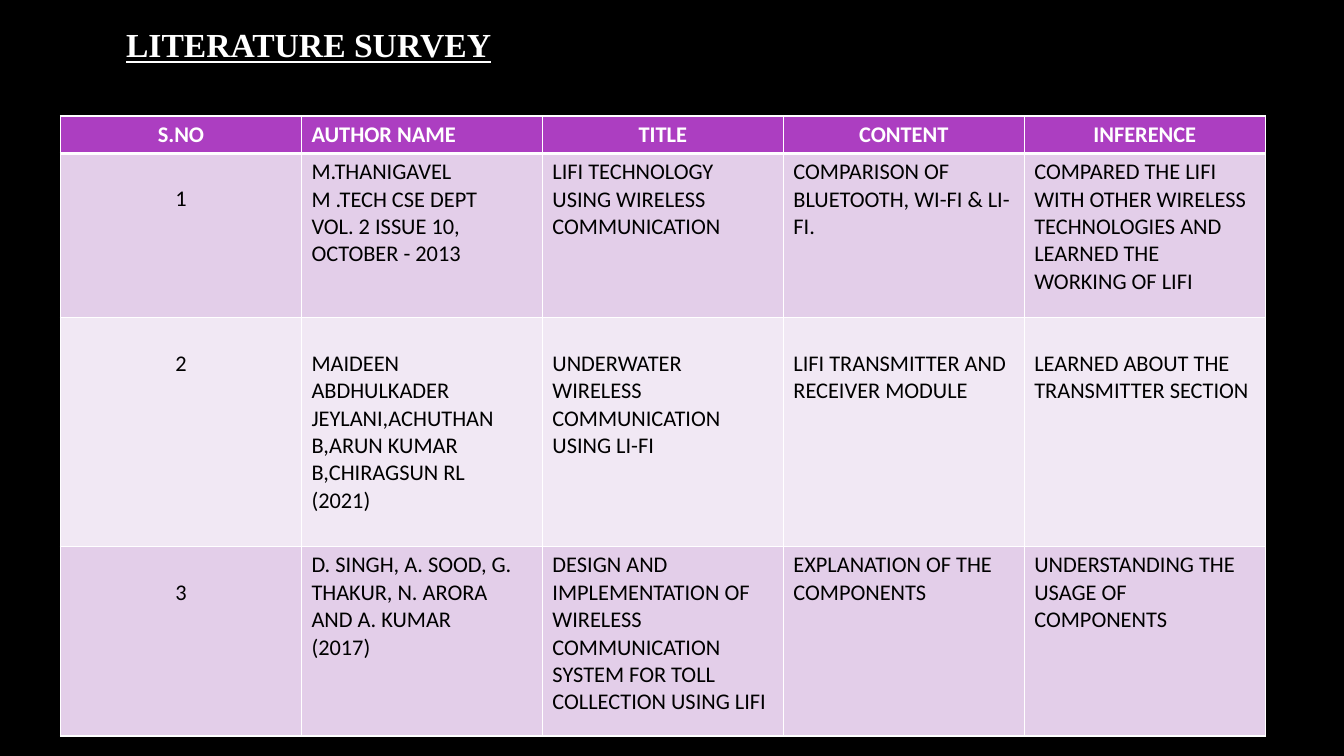
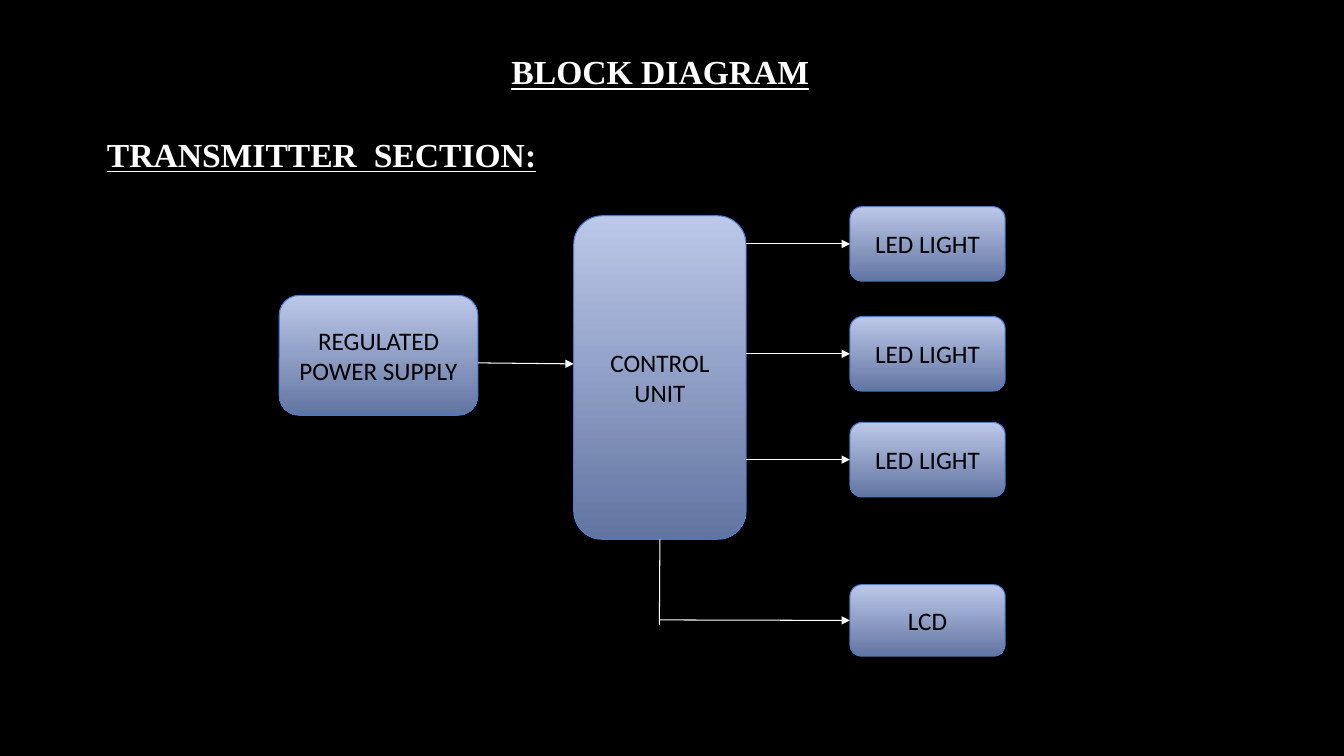
from dataclasses import dataclass
from typing import Optional

from lxml import etree
from pptx import Presentation
from pptx.dml.color import RGBColor
from pptx.enum.shapes import MSO_CONNECTOR as Connector, MSO_SHAPE as Shape
from pptx.enum.text import MSO_ANCHOR as Anchor, MSO_AUTO_SIZE as AutoSize, PP_ALIGN as Align
from pptx.oxml import parse_xml
from pptx.oxml.ns import nsdecls, qn
from pptx.util import Inches, Pt

BLACK, WHITE = "000000", "FFFFFF"
HEADER, BAND_DARK, BAND_LIGHT = "AC3EC1", "E3CEE9", "F1E8F4"
BLOCK_TOP, BLOCK_BOTTOM, BLOCK_EDGE = "BCC8E9", "6275A1", "477BD1"
HEADING_FONT, BODY_FONT = "Times New Roman", "Calibri"
TITLE_ONLY = 5
LEFT_SITE, BOTTOM_SITE = 1, 2
CELL_MARGIN, LINE_HEIGHT = 0.05, 0.27

HEADINGS = ["S.NO", "AUTHOR NAME", "TITLE", "CONTENT", "INFERENCE"]
PAPERS = [
    ["1", "M.THANIGAVEL  M .TECH CSE DEPT\nVOL. 2 ISSUE 10, OCTOBER - 2013",
     "LIFI TECHNOLOGY USING WIRELESS COMMUNICATION",
     "COMPARISON OF BLUETOOTH, WI-FI & LI-FI.",
     "COMPARED THE LIFI WITH OTHER WIRELESS TECHNOLOGIES AND LEARNED THE WORKING OF LIFI"],
    ["2", "MAIDEEN ABDHULKADER JEYLANI,ACHUTHAN B,ARUN KUMAR B,CHIRAGSUN RL\n(2021)",
     "UNDERWATER WIRELESS COMMUNICATION USING LI-FI",
     "LIFI TRANSMITTER AND RECEIVER MODULE",
     "LEARNED ABOUT THE TRANSMITTER SECTION"],
    ["3", "D. SINGH, A. SOOD, G. THAKUR, N. ARORA AND A. KUMAR\n(2017)",
     "DESIGN AND IMPLEMENTATION OF WIRELESS COMMUNICATION SYSTEM FOR TOLL COLLECTION USING LIFI",
     "EXPLANATION OF THE COMPONENTS",
     "UNDERSTANDING THE USAGE OF COMPONENTS"],
]
ROW_HEIGHTS = [0.37, 1.63, 2.27, 1.88]
COLUMN_WIDTH = 2.39
LOWERED_ROW = 2


@dataclass(frozen=True)
class Area:
    """A rectangle on the page, in inches."""
    left: float
    top: float
    width: float
    height: float

    def lengths(self) -> list:
        """Return the four measures as lengths."""
        return [Inches(n) for n in (self.left, self.top, self.width, self.height)]


@dataclass(frozen=True)
class Block:
    """A labelled box of the block diagram."""
    label: str
    area: Area


@dataclass(frozen=True)
class Link:
    """A line between two points, in inches."""
    start: tuple[float, float]
    end: tuple[float, float]
    arrow: bool = True


SUPPLY = Block("REGULATED POWER SUPPLY", Area(2.77, 2.93, 1.97, 1.19))
CONTROLLER = Block("CONTROL UNIT", Area(5.69, 2.14, 1.71, 3.21))
OUTPUTS = [Block("LED LIGHT", Area(8.43, top, 1.54, 0.74)) for top in (2.05, 3.14, 4.19)]
DISPLAY = Block("LCD", Area(8.43, 5.8, 1.54, 0.71))


def color(value: str) -> RGBColor:
    """Turn a hex string into a colour."""
    return RGBColor.from_string(value)


def format_text(frame, font: str, size: float, ink: str, align: Align,
                bold: bool = False, underline: bool = False) -> None:
    """Format every run of a text frame alike."""
    for para in frame.paragraphs:
        para.alignment = align
        for span in para.runs:
            span.font.name = font
            span.font.size = Pt(size)
            span.font.bold = bold
            span.font.underline = underline
            span.font.color.rgb = color(ink)


def write_heading(box, text: str, area: Area, align: Align = Align.LEFT) -> None:
    """Place a box and give it the heading style."""
    box.left, box.top, box.width, box.height = area.lengths()
    frame = box.text_frame
    frame.text = text
    frame.word_wrap = True
    frame.auto_size = AutoSize.NONE
    frame.vertical_anchor = Anchor.MIDDLE
    format_text(frame, HEADING_FONT, 24, WHITE, align, bold=True, underline=True)


def set_borders(cell, top: float, bottom: float) -> None:
    """Draw white cell borders, one point wide at the sides."""
    properties = cell._tc.get_or_add_tcPr()
    for side, width in (("L", 1), ("R", 1), ("T", top), ("B", bottom)):
        properties.append(parse_xml(
            f'<a:ln{side} {nsdecls("a")} w="{Pt(width)}"><a:solidFill>'
            f'<a:srgbClr val="{WHITE}"/></a:solidFill></a:ln{side}>'))


def fill_cell(cell, text: str, row: int, column: int) -> None:
    """Write one table cell by its row and column."""
    header = row == 0
    set_borders(cell, 3 if row == 1 else 1, 3 if header else 1)
    cell.fill.solid()
    cell.fill.fore_color.rgb = color(HEADER if header else BAND_DARK if row % 2 else BAND_LIGHT)
    lowered = not header and (column == 0 or row == LOWERED_ROW)
    cell.margin_top = Inches(CELL_MARGIN + LINE_HEIGHT * lowered)
    cell.text_frame.text = text
    centred = column == 0 or (header and column != 1)
    format_text(cell.text_frame, BODY_FONT, 16, WHITE if header else BLACK,
                Align.CENTER if centred else Align.LEFT, bold=header)


def add_survey_table(page) -> None:
    """Add the table of surveyed papers."""
    rows = [HEADINGS, *PAPERS]
    area = Area(0.6, 1.15, COLUMN_WIDTH * len(HEADINGS), sum(ROW_HEIGHTS))
    table = page.shapes.add_table(len(rows), len(HEADINGS), *area.lengths()).table
    for column in table.columns:
        column.width = Inches(COLUMN_WIDTH)
    for row, texts in enumerate(rows):
        table.rows[row].height = Inches(ROW_HEIGHTS[row])
        for column, text in enumerate(texts):
            fill_cell(table.cell(row, column), text, row, column)


def add_block(page, block: Block):
    """Add a rounded gradient box with its label."""
    box = page.shapes.add_shape(Shape.ROUNDED_RECTANGLE, *block.area.lengths())
    box.shadow.inherit = False
    box.fill.gradient()
    box.fill.gradient_angle = 270
    for stop, value in zip(box.fill.gradient_stops, (BLOCK_TOP, BLOCK_BOTTOM)):
        stop.color.rgb = color(value)
    box.line.color.rgb = color(BLOCK_EDGE)
    box.line.width = Pt(0.75)
    frame = box.text_frame
    frame.text = block.label
    frame.word_wrap = True
    frame.vertical_anchor = Anchor.MIDDLE
    format_text(frame, BODY_FONT, 18, BLACK, Align.CENTER)
    return box


def add_link(page, link: Link, target: Optional[object] = None):
    """Add a white line, glued to the left of a target if given."""
    points = [Inches(n) for n in (*link.start, *link.end)]
    line = page.shapes.add_connector(Connector.STRAIGHT, *points)
    if target is not None:
        line.end_connect(target, LEFT_SITE)
    line.line.color.rgb = color(WHITE)
    line.line.width = Pt(0.75)
    if link.arrow:
        etree.SubElement(line.line._get_or_add_ln(), qn("a:tailEnd"), type="triangle")
    etree.SubElement(line._element.spPr, qn("a:effectLst"))
    return line


def add_page(deck, title: str, area: Area):
    """Add a page with its title."""
    page = deck.slides.add_slide(deck.slide_layouts[TITLE_ONLY])
    write_heading(page.shapes.title, title, area)
    return page


def add_block_diagram(page) -> None:
    """Add the blocks of the transmitter and their links."""
    add_block(page, SUPPLY)
    controller = add_block(page, CONTROLLER)
    add_link(page, Link((4.74, 3.6), (5.69, 3.61)))
    for block in OUTPUTS:
        middle = block.area.top + block.area.height / 2
        add_link(page, Link((7.4, middle), (8.43, middle)), add_block(page, block))
    stem = add_link(page, Link((6.54, 5.35), (6.54, 6.2), arrow=False))
    stem.begin_connect(controller, BOTTOM_SITE)
    add_link(page, Link((6.54, 6.15), (8.43, 6.15)), add_block(page, DISPLAY))


def main() -> None:
    """Build and save the deck."""
    deck = Presentation()
    deck.slide_width, deck.slide_height = Inches(13.33), Inches(7.5)
    backdrop = deck.slide_master.background.fill
    backdrop.solid()
    backdrop.fore_color.rgb = color(BLACK)

    survey = add_page(deck, "LITERATURE SURVEY", Area(1.15, 0.19, 11.08, 0.5))
    add_survey_table(survey)

    diagram = add_page(deck, "TRANSMITTER  SECTION:", Area(0.96, 1.28, 5.31, 0.5))
    banner = Area(2.81, 0.46, 7.48, 0.5)
    write_heading(diagram.shapes.add_textbox(*banner.lengths()), "BLOCK DIAGRAM",
                  banner, Align.CENTER)
    add_block_diagram(diagram)
    deck.save("out.pptx")


if __name__ == "__main__":
    main()
